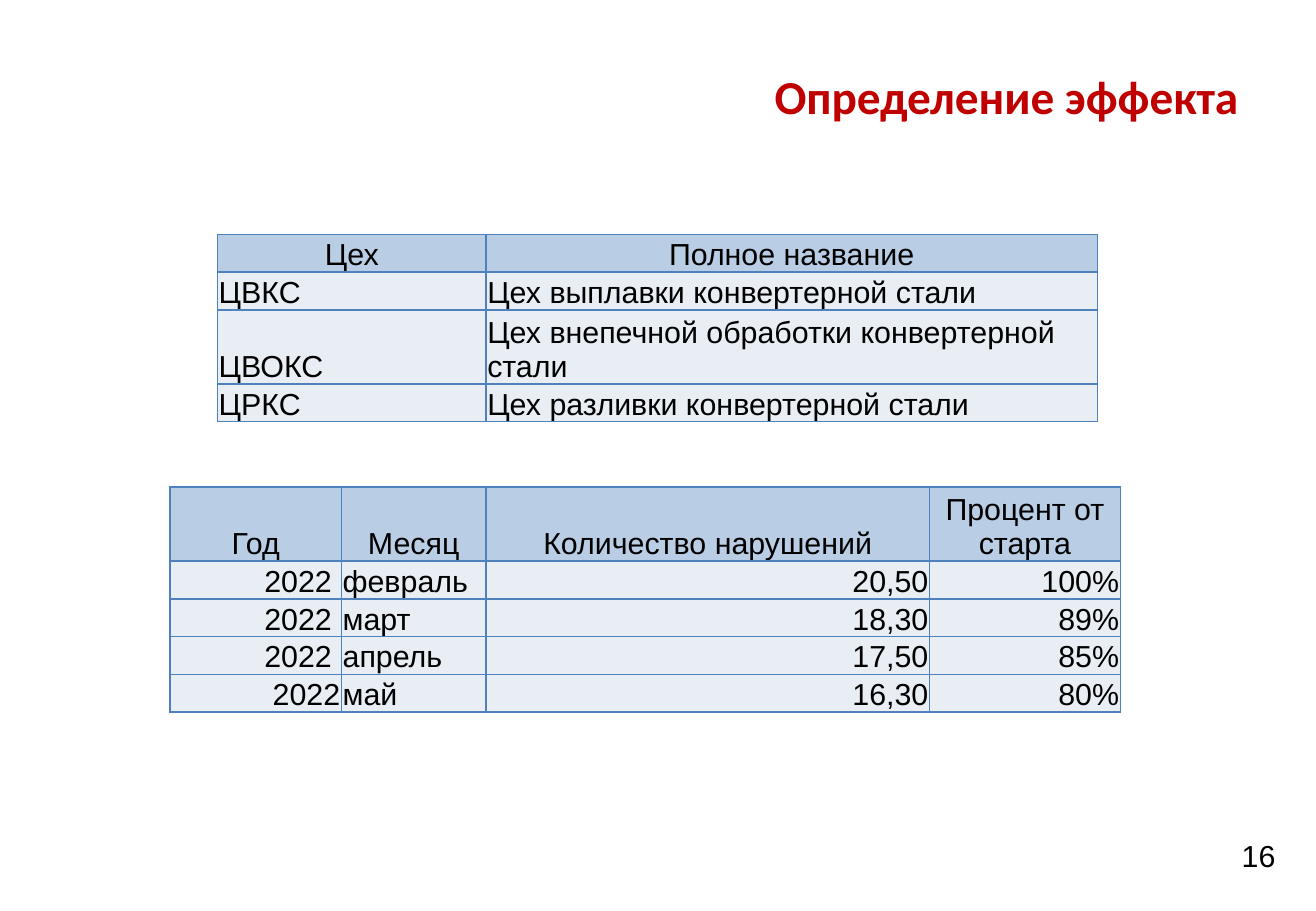
from lxml import etree
from pptx import Presentation
from pptx.dml.color import RGBColor
from pptx.enum.text import MSO_ANCHOR, PP_ALIGN
from pptx.oxml.ns import qn
from pptx.util import Inches, Pt

LEFT, CENTER, RIGHT = PP_ALIGN.LEFT, PP_ALIGN.CENTER, PP_ALIGN.RIGHT
BOTTOM, MIDDLE = MSO_ANCHOR.BOTTOM, MSO_ANCHOR.MIDDLE

COLORS = {
    "title": "C00000",
    "text": "000000",
    "header": "B9CDE5",
    "body": "E9EDF4",
    "border": "4F81BD",
}
TITLE_FONT = {"name": "Calibri", "size": Pt(28), "bold": True}
TEXT_FONT = {"name": "Arial", "size": Pt(18), "bold": False}
CELL_FORMAT = {
    "margin_left": Inches(0.01),
    "margin_right": Inches(0.01),
    "margin_top": Inches(0.01),
    "margin_bottom": 0,
    "vertical_anchor": BOTTOM,
}
LINE_HEIGHT, TWO_LINES = 0.31, 0.61

WORKSHOPS = [
    ("Цех", "Полное название"),
    ("ЦВКС", "Цех выплавки конвертерной стали"),
    ("ЦВОКС", "Цех внепечной обработки конвертерной стали"),
    ("ЦРКС", "Цех разливки конвертерной стали"),
]
VIOLATIONS = [
    ("Год", "Месяц", "Количество нарушений", "Процент от старта"),
    ("2022 ", "февраль", "20,50", "100%"),
    ("2022 ", "март", "18,30", "89%"),
    ("2022 ", "апрель", "17,50", "85%"),
    ("2022", "май", "16,30", "80%"),
]


def set_attributes(target, values):
    for name, value in values.items():
        setattr(target, name, value)


def write_text(tf, text, font, color, align):
    p = tf.paragraphs[0]
    p.alignment = align
    r = p.add_run()
    r.text = text
    set_attributes(r.font, font)
    r.font.color.rgb = RGBColor.from_string(COLORS[color])


def add_borders(cell):
    """Draw all four cell edges; must run before the fill is set."""
    tc_pr = cell._tc.get_or_add_tcPr()
    for side in ("a:lnL", "a:lnR", "a:lnT", "a:lnB"):
        ln = etree.SubElement(tc_pr, qn(side), w=str(Pt(1)))
        fill = etree.SubElement(ln, qn("a:solidFill"))
        etree.SubElement(fill, qn("a:srgbClr"), val=COLORS["border"])


def format_cell(cell, text, color, align):
    set_attributes(cell, CELL_FORMAT)
    add_borders(cell)
    cell.fill.solid()
    cell.fill.fore_color.rgb = RGBColor.from_string(COLORS[color])
    write_text(cell.text_frame, text, TEXT_FONT, "text", align)


def add_grid(slide, left, top, widths, heights, rows, aligns):
    """Add a table whose header is centred and whose columns follow aligns."""
    table = slide.shapes.add_table(
        len(rows), len(widths), Inches(left), Inches(top),
        Inches(sum(widths)), Inches(sum(heights))).table
    for column, width in zip(table.columns, widths):
        column.width = Inches(width)
    for i, (row, height) in enumerate(zip(rows, heights)):
        table.rows[i].height = Inches(height)
        for j, text in enumerate(row):
            color, align = ("body", aligns[j]) if i else ("header", CENTER)
            format_cell(table.cell(i, j), text, color, align)


def add_title(slide, text):
    sp = slide.shapes.title
    set_attributes(sp, {"left": Inches(0.54), "top": Inches(0.48),
                        "width": Inches(9.75), "height": Inches(0.61)})
    sp.text_frame.vertical_anchor = MIDDLE
    write_text(sp.text_frame, text, TITLE_FONT, "title", RIGHT)


def add_page_number(slide, number):
    sp = slide.shapes.add_textbox(
        Inches(10.12), Inches(6.84), Inches(0.48), Inches(0.4))
    sp.text_frame.word_wrap = False
    write_text(sp.text_frame, number, TEXT_FONT, "text", LEFT)


def main():
    prs = Presentation()
    prs.slide_width, prs.slide_height = Inches(10.83), Inches(7.5)
    slide = prs.slides.add_slide(prs.slide_layouts.get_by_name("Title Only"))

    add_title(slide, "Определение эффекта")
    add_page_number(slide, "16")
    add_grid(slide, 1.79, 1.93, [2.21, 5.03],
             [LINE_HEIGHT, LINE_HEIGHT, TWO_LINES, LINE_HEIGHT],
             WORKSHOPS, [LEFT, LEFT])
    add_grid(slide, 1.4, 4.01, [1.41, 1.19, 3.65, 1.57],
             [TWO_LINES] + [LINE_HEIGHT] * 4,
             VIOLATIONS, [RIGHT, LEFT, RIGHT, RIGHT])
    prs.save("out.pptx")


if __name__ == "__main__":
    main()
